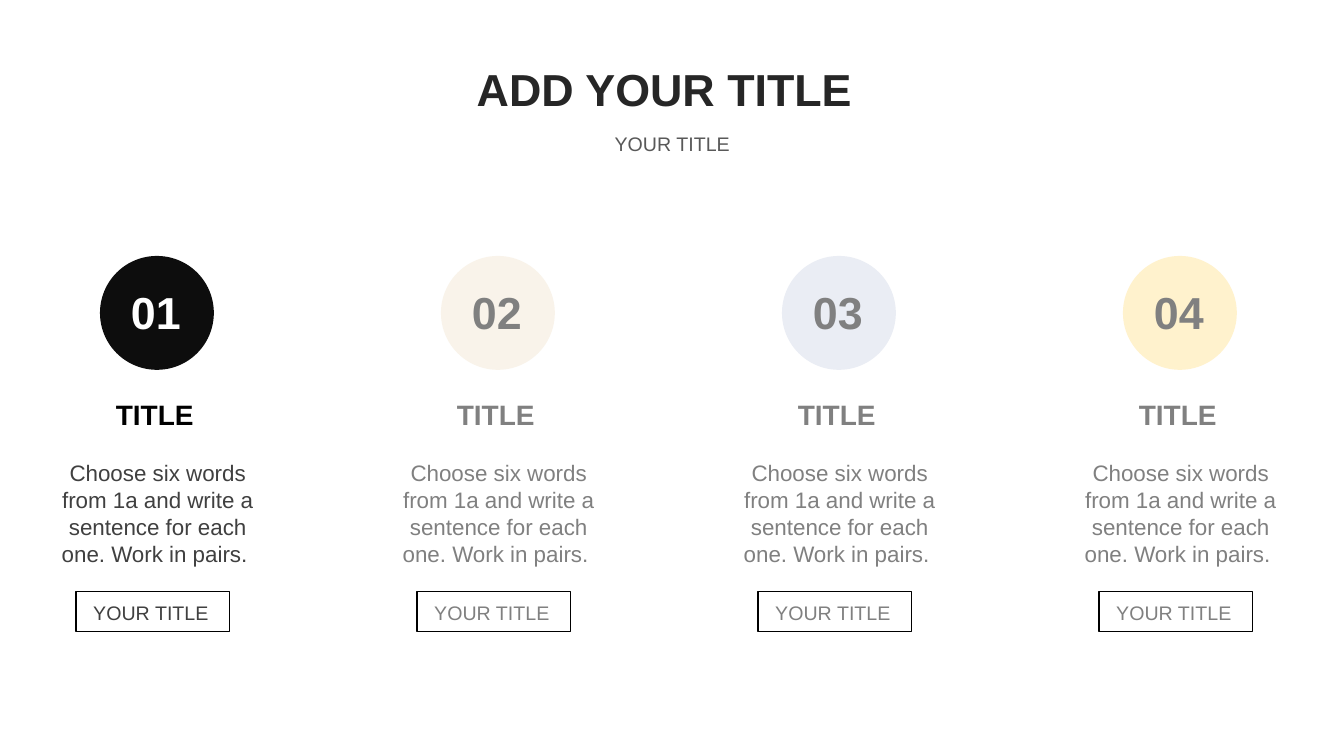
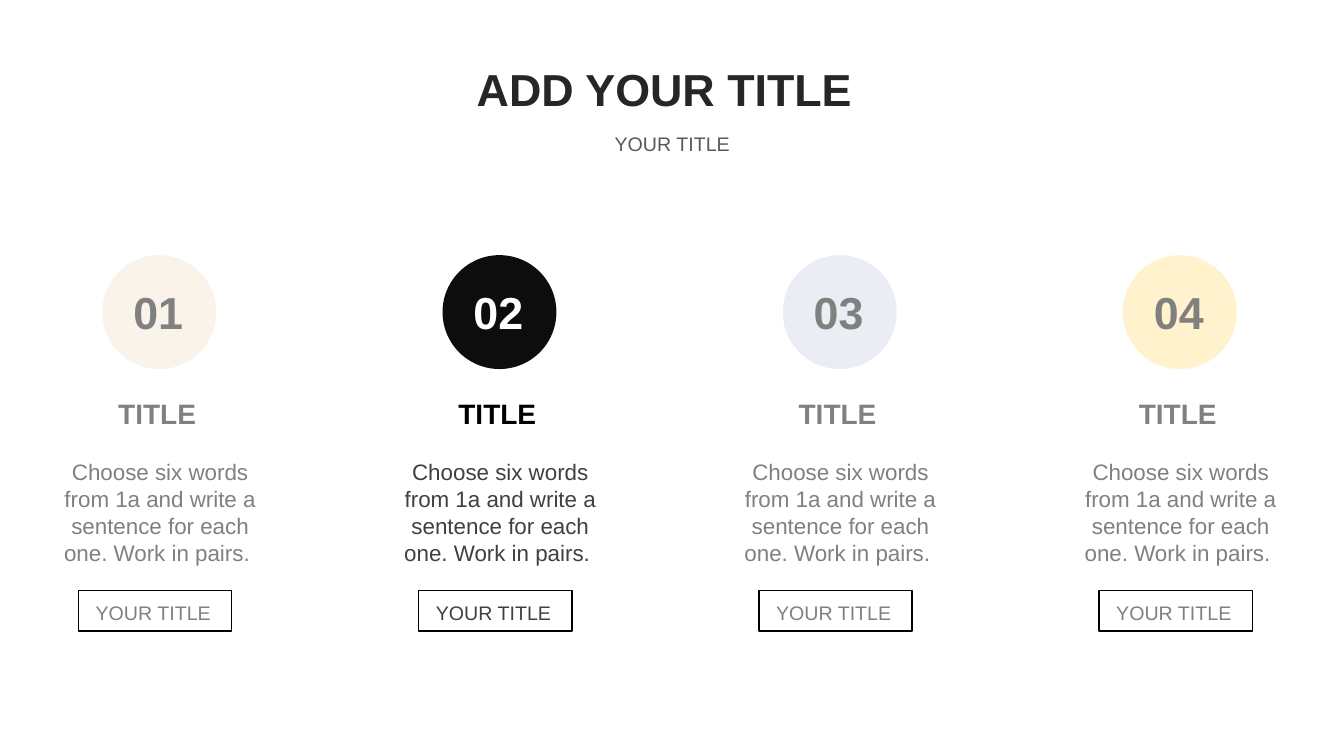
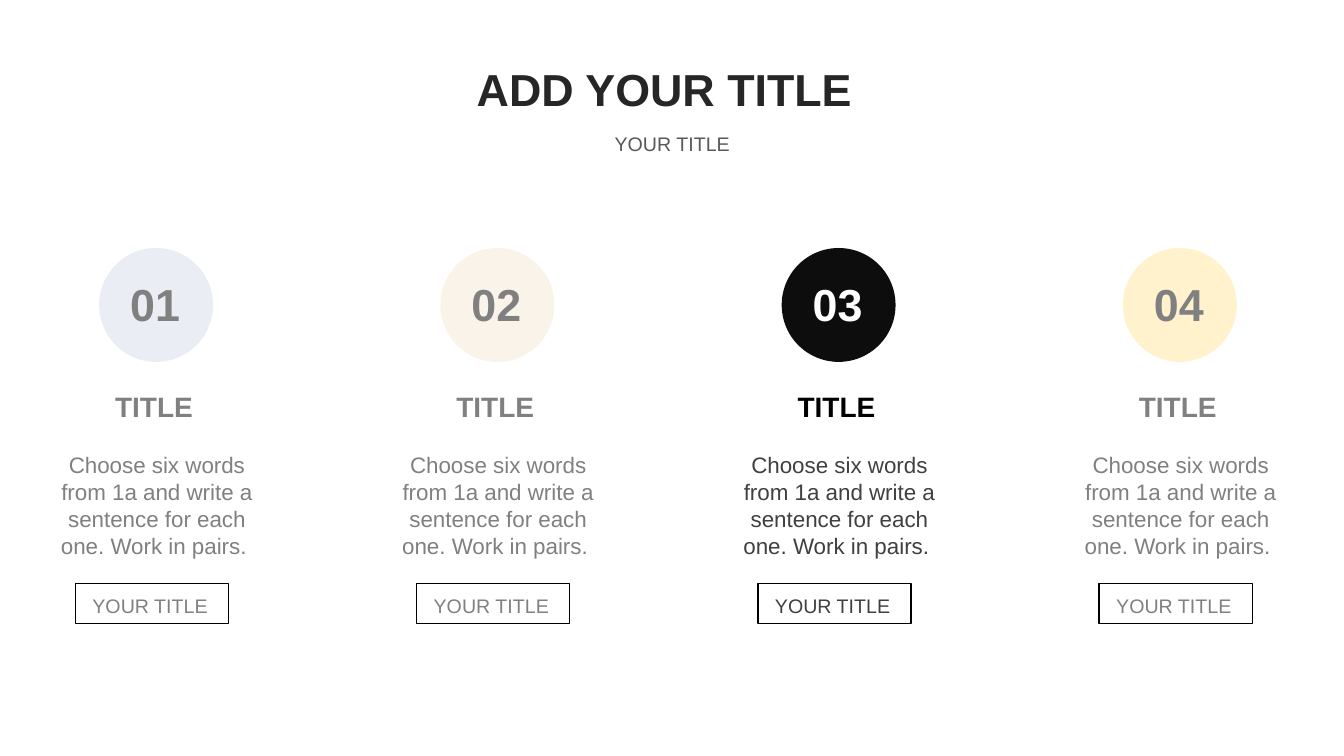
from pptx import Presentation
from pptx.dml.color import RGBColor
from pptx.enum import shapes, text
from pptx.util import Cm, Pt

# Shared look
FONT = "Arial"
BLACK, GREY = "000000", "808080"
CREAM, MIST, GOLD = "F9F3EA", "EAEDF4", "FFF2CD"
ACTIVE = {"disc": "0D0D0D", "num": "FFFFFF", "head": BLACK, "body": "404040"}
LABEL = "YOUR TITLE"
BODY = ("Choose six words from 1a and write a sentence for each one. "
        "Work in pairs. ")
LAST = 27.0  # left edge of the fourth column, in cm

# Per slide: active step, left edge of first column, top, disc colours
PAGES = [
    (0, 1.22, 6.45, [None, CREAM, MIST, GOLD]),
    (1, 1.28, 6.43, [CREAM, None, MIST, GOLD]),
    (2, 1.2, 6.25, [MIST, CREAM, None, GOLD]),
]


def paint(hue):
    return RGBColor.from_string(hue)


def place(box, x, y, w, h):
    box.left, box.top, box.width, box.height = Cm(x), Cm(y), Cm(w), Cm(h)


def write(box, words, size, hue, bold=False, wrap=True, center=False):
    frame = box.text_frame
    frame.text = words
    frame.word_wrap = wrap
    frame.auto_size = text.MSO_AUTO_SIZE.SHAPE_TO_FIT_TEXT
    frame.vertical_anchor = text.MSO_ANCHOR.TOP
    para = frame.paragraphs[0]
    para.alignment = text.PP_ALIGN.CENTER if center else text.PP_ALIGN.LEFT
    font = para.runs[0].font
    font.name, font.size, font.bold = FONT, Pt(size), bold
    font.color.rgb = paint(hue)


def label(parts, area, words, size, hue, **style):
    box = parts.add_textbox(*(Cm(n) for n in area))
    write(box, words, size, hue, **style)


def shape(parts, kind, area, fill=None, line=None):
    item = parts.add_shape(kind, *(Cm(n) for n in area))
    item.shadow.inherit = False
    if fill:
        item.fill.solid()
        item.fill.fore_color.rgb = paint(fill)
    else:
        item.fill.background()
    if line:
        item.line.color.rgb = paint(line)
        item.line.width = Pt(1)
    else:
        item.line.fill.background()


def header(slide):
    title = slide.shapes.title
    place(title, 11.76, 1.42, 10.54, 1.63)
    write(title, "ADD YOUR TITLE", 32, "262626", bold=True)
    label(slide.shapes, (15.24, 3.2, 3.58, 0.86), LABEL, 14, "595959",
          wrap=False)


def step(slide, num, x, y, disc):
    """Draw one column; a column without a disc colour is the active one."""
    look = ACTIVE if disc is None else {
        "disc": disc, "num": GREY, "head": GREY, "body": GREY}
    parts = slide.shapes.add_group_shape().shapes
    # Numbered disc
    shape(parts, shapes.MSO_SHAPE.OVAL, (x + 1.3, y, 2.87, 2.87),
          fill=look["disc"])
    label(parts, (x + 1.83, y + 0.61, 1.8, 1.65), f"{num:02}", 32,
          look["num"], bold=True, wrap=False)
    # Heading and body
    label(parts, (x + 1.45, y + 3.44, 2.62, 1.12), "TITLE", 20,
          look["head"], bold=True)
    label(parts, (x, y + 5, 5.51, 3), BODY, 16, look["body"], center=True)
    # Framed label
    shape(parts, shapes.MSO_SHAPE.RECTANGLE, (x + 0.7, y + 8.45, 3.86, 1.02),
          line=BLACK)
    label(parts, (x + 0.88, y + 8.58, 4.09, 0.86), LABEL, 14, look["body"])


def main():
    deck = Presentation()
    deck.slide_width, deck.slide_height = Cm(33.87), Cm(19.05)
    for active, left, top, discs in PAGES:
        slide = deck.slides.add_slide(deck.slide_layouts[5])
        header(slide)
        gap = (LAST - left) / (len(discs) - 1)
        for i, disc in enumerate(discs):
            step(slide, i + 1, left + i * gap, top,
                 None if i == active else disc)
    deck.save("out.pptx")


if __name__ == "__main__":
    main()
